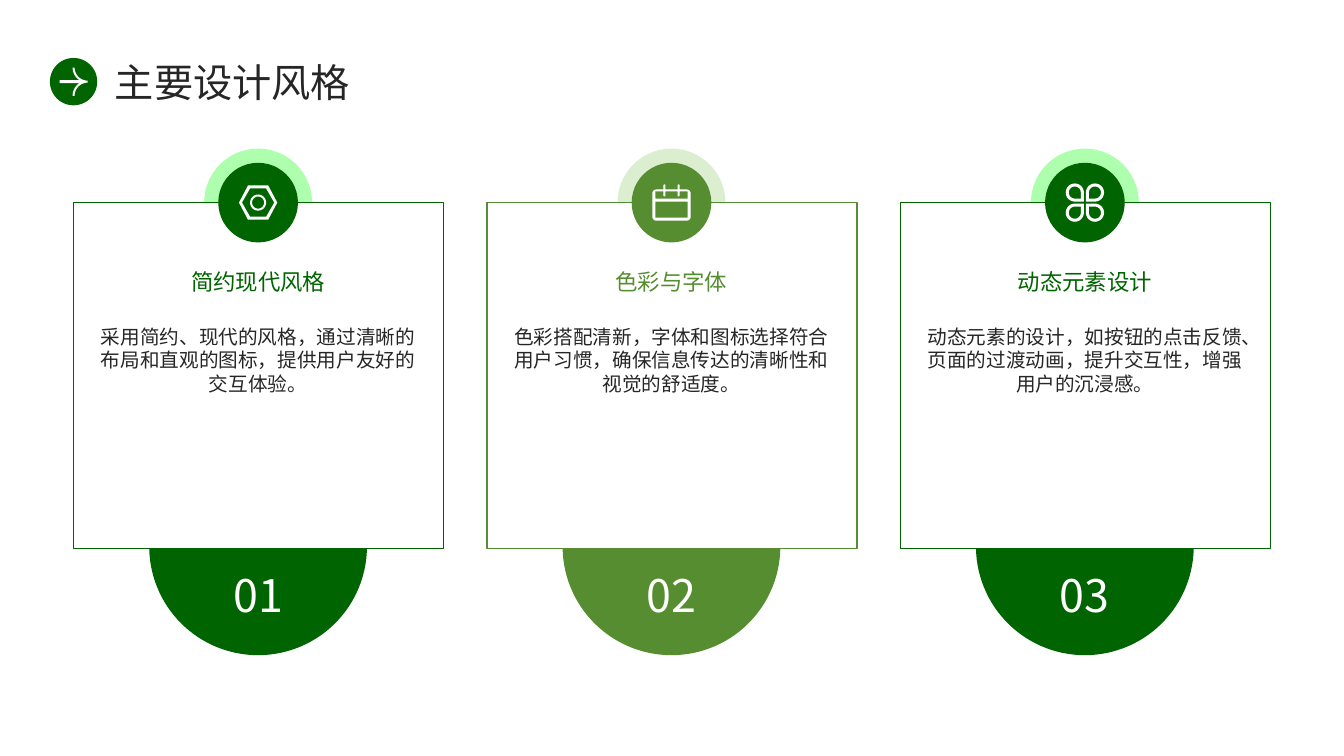
from math import cos, radians, sin

from lxml.etree import SubElement
from pptx import Presentation
from pptx.dml.color import RGBColor
from pptx.enum.shapes import MSO_SHAPE
from pptx.enum.text import MSO_ANCHOR, PP_ALIGN
from pptx.oxml.ns import qn
from pptx.util import Inches, Pt

DARK_GREEN = RGBColor(0x00, 0x64, 0x00)
LEAF_GREEN = RGBColor(0x57, 0x8D, 0x31)
MINT = RGBColor(0xAD, 0xFF, 0xAD)
PALE_GREEN = RGBColor(0xDC, 0xEE, 0xD0)
INK = RGBColor(0x26, 0x26, 0x26)
WHITE = RGBColor(0xFF, 0xFF, 0xFF)


def arc(x, y, radius, start, end, steps=24):
    angles = [radians(start + (end - start) * i / steps) for i in range(steps + 1)]
    return [(x + radius * cos(a), y + radius * sin(a)) for a in angles]


def hexagon(half_top, half_width, half_height):
    upper = [(-half_width, 0), (-half_top, -half_height), (half_top, -half_height)]
    return upper + [(-x, -y) for x, y in upper]


def petal(side_x, side_y, radius):
    curve = arc(0.1, 0.1, radius, -90, 180) + [(0.1 - radius, 0.1 - radius)]
    return [(side_x * x, side_y * y) for x, y in curve]


def nut_icon():
    return [hexagon(0.1, 0.19, 0.17), hexagon(0.08, 0.16, 0.14),
            arc(0, 0, 0.08, 0, 360), arc(0, 0, 0.06, 0, 360)]


def calendar_icon():
    rings_above, rings_below = [], []
    for ring in (-0.07, 0.07):
        rings_above += [(ring - 0.01, -0.13), *arc(ring, -0.17, 0.01, 180, 360, 6), (ring + 0.01, -0.13)]
        rings_below += [(ring - 0.01, -0.11), *arc(ring, -0.07, 0.01, 180, 0, 6), (ring + 0.01, -0.11)]
    frame = (arc(-0.15, -0.09, 0.04, 180, 270, 6) + rings_above
             + arc(0.15, -0.09, 0.04, 270, 360, 6)
             + arc(0.15, 0.14, 0.04, 0, 90, 6) + arc(-0.15, 0.14, 0.04, 90, 180, 6))
    header = [(-0.16, -0.04), (-0.16, -0.11), *rings_below, (0.16, -0.11), (0.16, -0.04)]
    days = [(-0.16, -0.01), (0.16, -0.01), (0.16, 0.15), (-0.16, 0.15)]
    return [frame, header, days]


def clover_icon():
    return [petal(x, y, radius) for x in (-1, 1) for y in (-1, 1) for radius in (0.09, 0.06)]


def arrow_icon():
    upper = arc(0.14, -0.14, 0.13, 90, 180) + arc(0.14, -0.14, 0.15, 180, 124) + [(-0.14, -0.015)]
    return [upper + [(x, -y) for x, y in reversed(upper)]]


class StyledSlide:
    """Hold the font and the current slide, and draw each kind of element."""

    font_name = "Noto Sans CJK SC"

    def __init__(self, presentation):
        self.shapes = presentation.slides.add_slide(presentation.slide_layouts[6]).shapes

    def paint(self, shape, fill, outline=None):
        shape.shadow.inherit = False
        shape.fill.solid()
        shape.fill.fore_color.rgb = fill
        if outline is None:
            shape.line.fill.background()
        else:
            shape.line.color.rgb = outline
            shape.line.width = Pt(1)

    def circle(self, x, y, diameter, fill):
        disc = self.shapes.add_shape(
            MSO_SHAPE.OVAL, Inches(x - diameter / 2), Inches(y - diameter / 2),
            Inches(diameter), Inches(diameter))
        self.paint(disc, fill)

    def panel(self, left, top, width, height, outline):
        frame = self.shapes.add_shape(
            MSO_SHAPE.RECTANGLE, Inches(left), Inches(top), Inches(width), Inches(height))
        self.paint(frame, WHITE, outline)

    def outline(self, x, y, contours, fill):
        placed = [[(Inches(x + dx), Inches(y + dy)) for dx, dy in contour] for contour in contours]
        builder = self.shapes.build_freeform(*placed[0][0])
        for contour in placed:
            if contour is not placed[0]:
                builder.move_to(*contour[0])
            builder.add_line_segments(contour[1:], close=True)
        self.paint(builder.convert_to_shape(), fill)

    def text(self, left, top, width, height, wording, size, color,
             align=PP_ALIGN.CENTER, anchor=MSO_ANCHOR.MIDDLE):
        frame = self.shapes.add_textbox(
            Inches(left), Inches(top), Inches(width), Inches(height)).text_frame
        frame.word_wrap = True
        frame.vertical_anchor = anchor
        frame.margin_left = frame.margin_right = frame.margin_top = frame.margin_bottom = 0
        frame.text = wording
        paragraph = frame.paragraphs[0]
        paragraph.alignment = align
        font = paragraph.runs[0].font
        font.size = Pt(size)
        font.color.rgb = color
        font.name = self.font_name
        SubElement(paragraph.runs[0]._r.rPr, qn("a:ea"), typeface=self.font_name)

    def card(self, center, number, heading, body, icon, color, halo):
        self.circle(center, 2.01, 1.07, halo)
        self.panel(center - 1.83, 2.01, 3.67, 3.43, color)
        self.outline(center, 5.42, [arc(0, 0, 1.08, 1, 179, 60)], color)
        self.circle(center, 2.01, 0.79, color)
        self.text(center - 1.57, 3.22, 3.14, 2, body, 14, INK, anchor=MSO_ANCHOR.TOP)
        self.text(center - 1.57, 2.46, 3.14, 0.66, heading, 16, color)
        self.outline(center, 2.01, icon, WHITE)
        self.text(center - 0.52, 5.57, 1.04, 0.66, number, 32, WHITE)


def main():
    presentation = Presentation()
    presentation.slide_width = Inches(13.33)
    presentation.slide_height = Inches(7.5)
    slide = StyledSlide(presentation)

    styles = [
        ("简约现代风格", "采用简约、现代的风格，通过清晰的布局和直观的图标，提供用户友好的交互体验。",
         nut_icon(), DARK_GREEN, MINT),
        ("色彩与字体", "色彩搭配清新，字体和图标选择符合用户习惯，确保信息传达的清晰性和视觉的舒适度。",
         calendar_icon(), LEAF_GREEN, PALE_GREEN),
        ("动态元素设计", "动态元素的设计，如按钮的点击反馈、页面的过渡动画，提升交互性，增强用户的沉浸感。",
         clover_icon(), DARK_GREEN, MINT),
    ]
    for index, style in enumerate(styles):
        slide.card(2.56 + 4.1 * index, f"{index + 1:02}", *style)

    slide.text(1.14, 0.58, 11.45, 0.47, "主要设计风格", 28, INK, align=PP_ALIGN.LEFT)
    slide.circle(0.73, 0.81, 0.47, DARK_GREEN)
    slide.outline(0.73, 0.81, arrow_icon(), WHITE)
    presentation.save("out.pptx")


if __name__ == "__main__":
    main()
